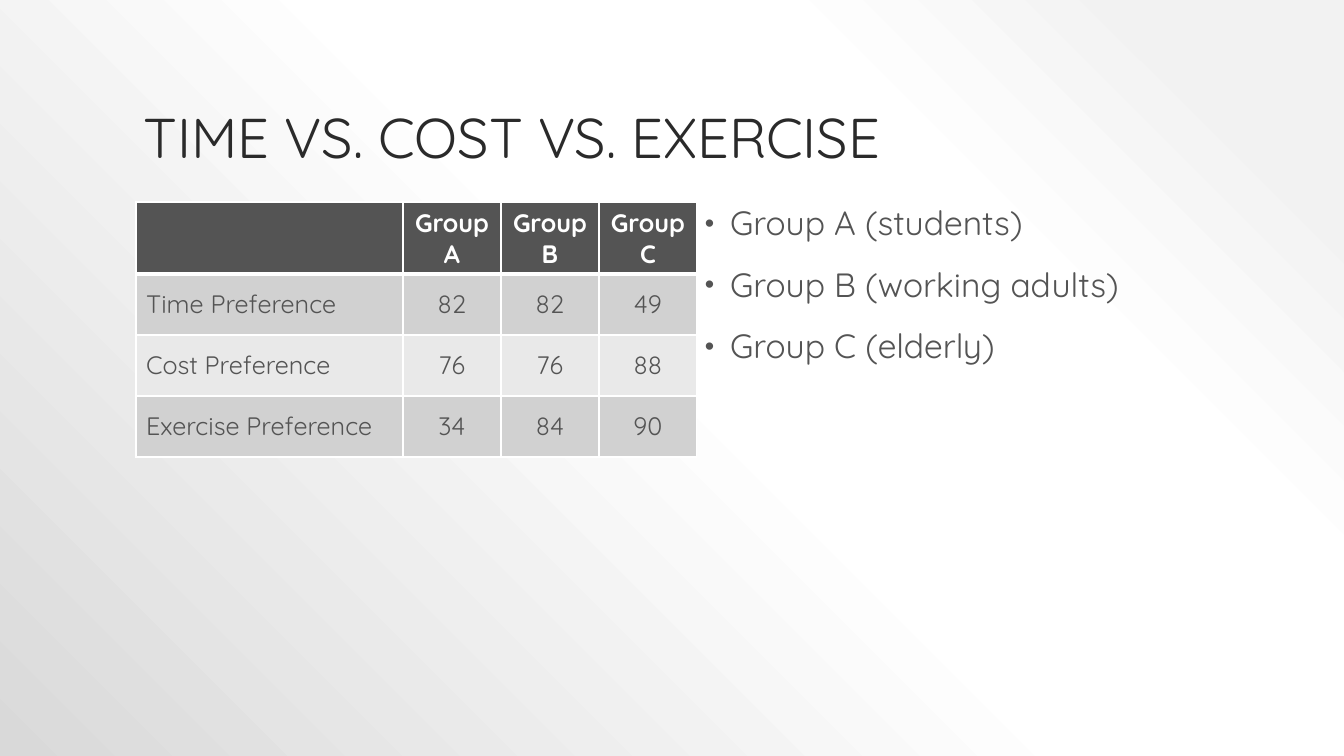
import dataclasses

import pptx
import pptx.dml.color
import pptx.enum.text
import pptx.oxml
import pptx.oxml.ns
import pptx.util


@dataclasses.dataclass(frozen=True)
class Theme:
    font: str = "Quicksand"
    title_size: int = 40
    bullet_size: int = 24
    table_size: int = 18
    title: str = "2A2A2A"
    body: str = "545454"
    white: str = "FFFFFF"
    bands: tuple = ("D1D1D1", "E9E9E9")
    backdrop: tuple = ((10, "F2F2F2"), (28, "FFFFFF"), (48, "FFFFFF"), (100, "D9D9D9"))


theme = Theme()
PX = 914400 / 100.8
NS = pptx.oxml.ns.nsdecls("a")
rgb = pptx.dml.color.RGBColor.from_string
align = pptx.enum.text.PP_ALIGN
anchor = pptx.enum.text.MSO_ANCHOR


def px(*lengths):
    return [round(length * PX) for length in lengths]


def style(paragraph, size, color, bold=False):
    paragraph.font.name = theme.font
    paragraph.font.size = pptx.util.Pt(size)
    paragraph.font.color.rgb = rgb(color)
    paragraph.font.bold = bold


deck = pptx.Presentation()
deck.slide_width, deck.slide_height = px(1344, 756)
slide = deck.slides.add_slide(deck.slide_layouts[6])

slide.background.fill.gradient()
gradient = slide.background._cSld.find(".//" + pptx.oxml.ns.qn("a:gradFill"))
stops = "".join(
    f'<a:gs pos="{percent * 1000}"><a:srgbClr val="{color}"/></a:gs>'
    for percent, color in theme.backdrop
)
gradient.getparent().replace(gradient, pptx.oxml.parse_xml(
    f'<a:gradFill {NS} rotWithShape="1"><a:gsLst>{stops}</a:gsLst>'
    '<a:path path="circle"><a:fillToRect l="100000" b="100000"/></a:path></a:gradFill>'
))

title = slide.shapes.add_textbox(*px(134, 30, 1076, 146)).text_frame
title.word_wrap = True
title.vertical_anchor = anchor.BOTTOM
title.text = "TIME VS. COST VS. EXERCISE"
title.paragraphs[0].line_spacing = 0.9
style(title.paragraphs[0], theme.title_size, theme.title)

scores = [
    ("", "Group A", "Group B", "Group C"),
    ("Time Preference", 82, 82, 49),
    ("Cost Preference", 76, 76, 88),
    ("Exercise Preference", 34, 84, 90),
]
column_widths = px(267, 98, 98, 98)
row_heights = px(72, 61, 61, 61)
preferences = slide.shapes.add_table(
    len(scores), len(column_widths), *px(136, 202), sum(column_widths), sum(row_heights)
).table
for column, width in zip(preferences.columns, column_widths):
    column.width = width
for row, height in zip(preferences.rows, row_heights):
    row.height = height

for r, record in enumerate(scores):
    header = r == 0
    for c, value in enumerate(record):
        cell = preferences.cell(r, c)
        cell.text = str(value)
        cell.vertical_anchor = anchor.MIDDLE
        paragraph = cell.text_frame.paragraphs[0]
        paragraph.alignment = align.CENTER if c else align.LEFT
        style(paragraph, theme.table_size, theme.white if header else theme.body, header)
        properties = cell._tc.get_or_add_tcPr()
        for side in "LRTB":
            heavy = (header and side == "B") or (r == 1 and side == "T")
            properties.append(pptx.oxml.parse_xml(
                f'<a:ln{side} {NS} w="{pptx.util.Pt(3 if heavy else 1)}"><a:solidFill>'
                f'<a:srgbClr val="{theme.white}"/></a:solidFill></a:ln{side}>'
            ))
        cell.fill.solid()
        cell.fill.fore_color.rgb = rgb(theme.body if header else theme.bands[(r - 1) % 2])

groups = slide.shapes.add_textbox(*px(690, 202, 519, 479)).text_frame
groups.word_wrap = True
groups.text = "Group A (students)\nGroup B (working adults)\nGroup C (elderly)"
for paragraph in groups.paragraphs:
    paragraph.line_spacing = 0.9
    paragraph.space_before = pptx.util.Pt(18)
    style(paragraph, theme.bullet_size, theme.body)
    properties = paragraph._p.get_or_add_pPr()
    properties.set("marL", str(pptx.util.Inches(0.3)))
    properties.set("indent", str(pptx.util.Inches(-0.25)))
    run_defaults = properties.find(pptx.oxml.ns.qn("a:defRPr"))
    for bullet in (
        f'<a:buClr {NS}><a:srgbClr val="{theme.body}"/></a:buClr>',
        f'<a:buSzPct {NS} val="80000"/>',
        f'<a:buFont {NS} typeface="Arial"/>',
        f'<a:buChar {NS} char="•"/>',
    ):
        run_defaults.addprevious(pptx.oxml.parse_xml(bullet))

deck.save("out.pptx")
